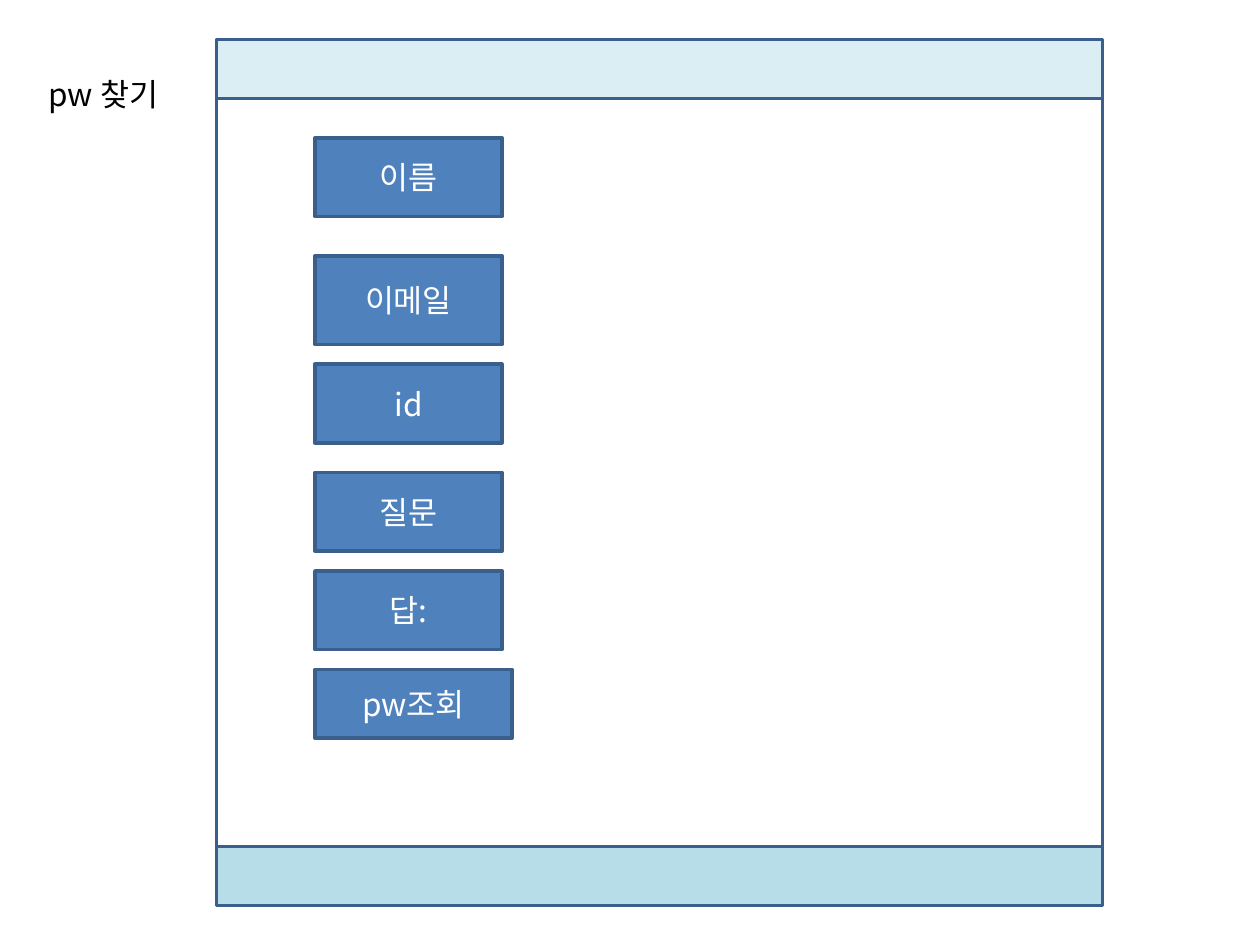
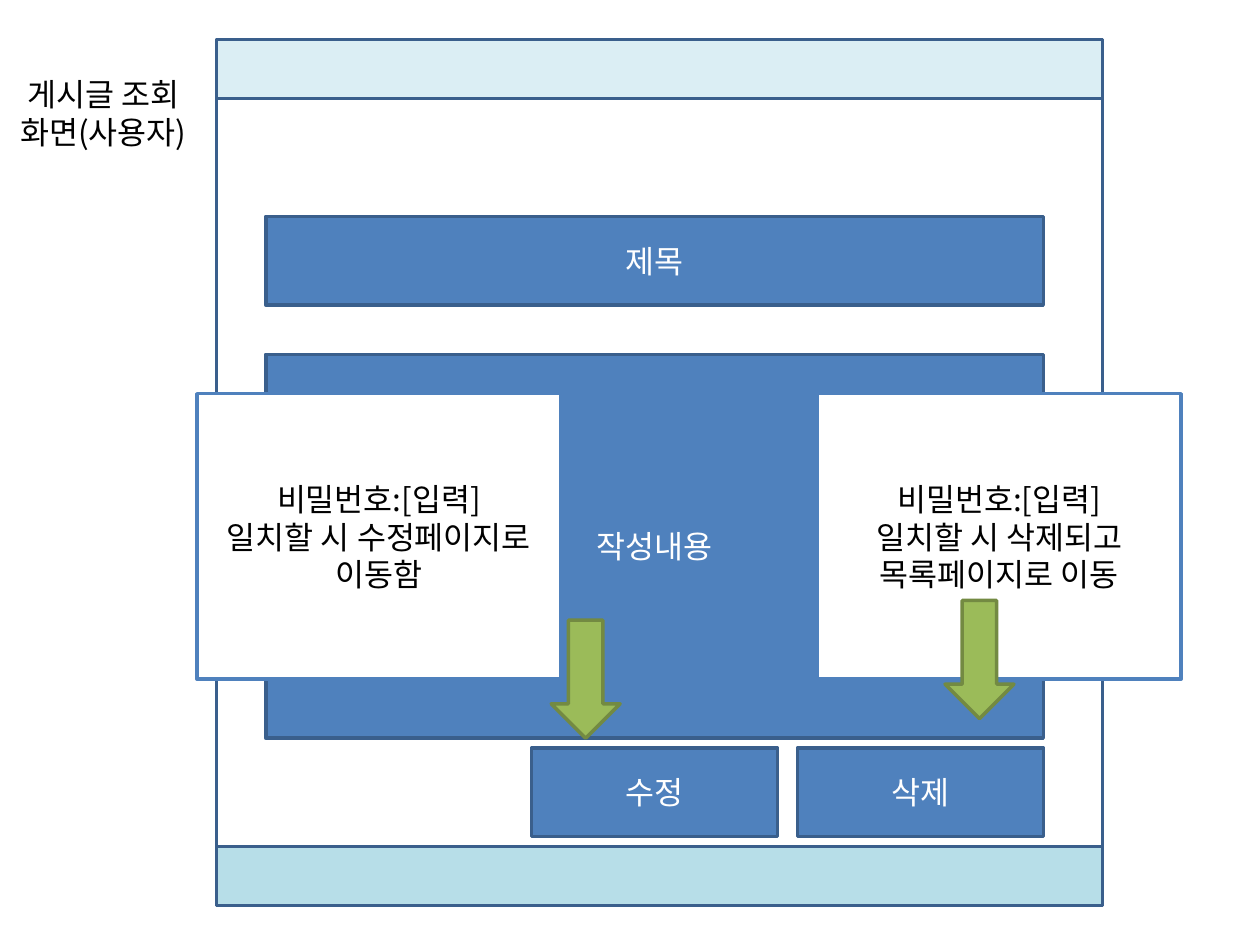
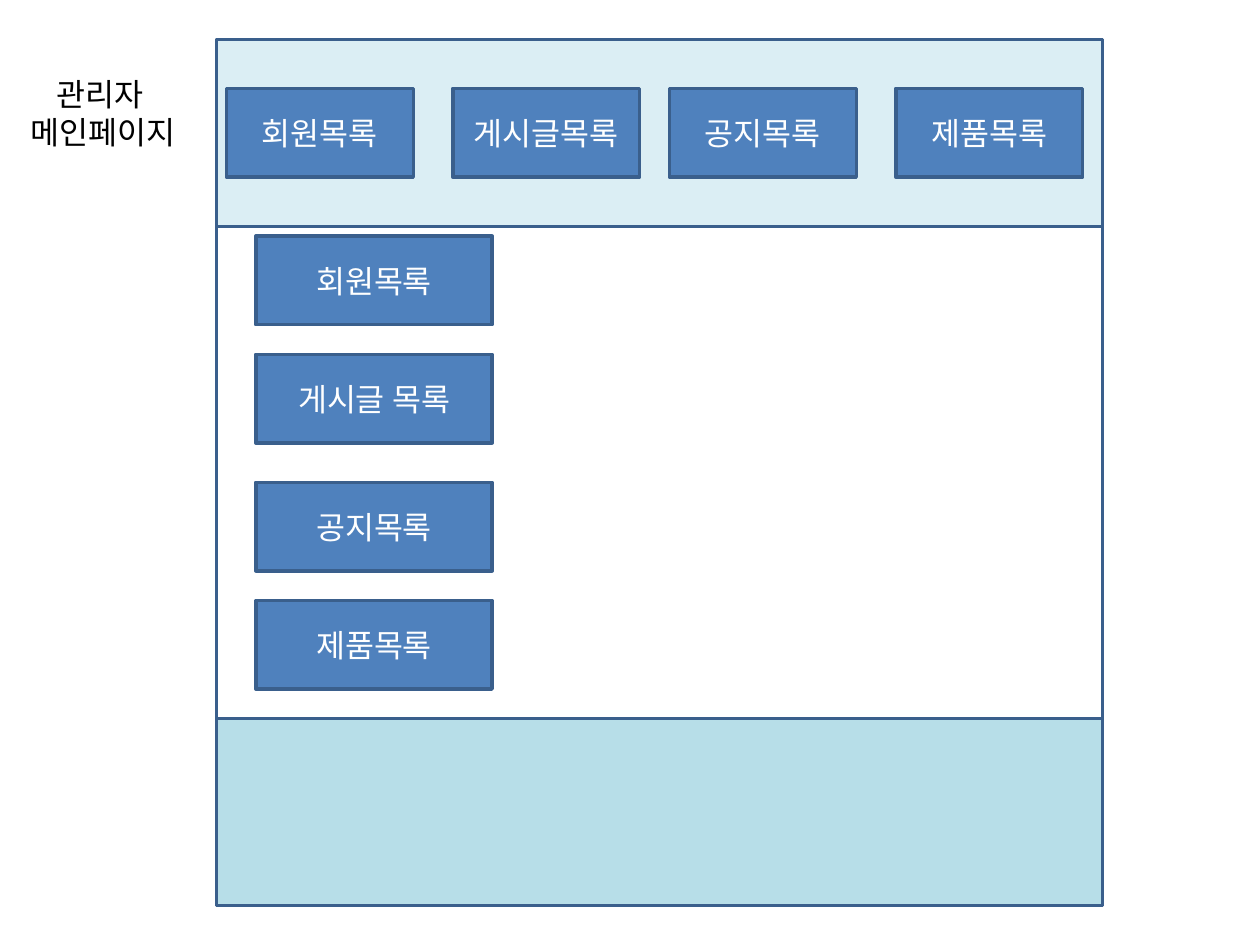
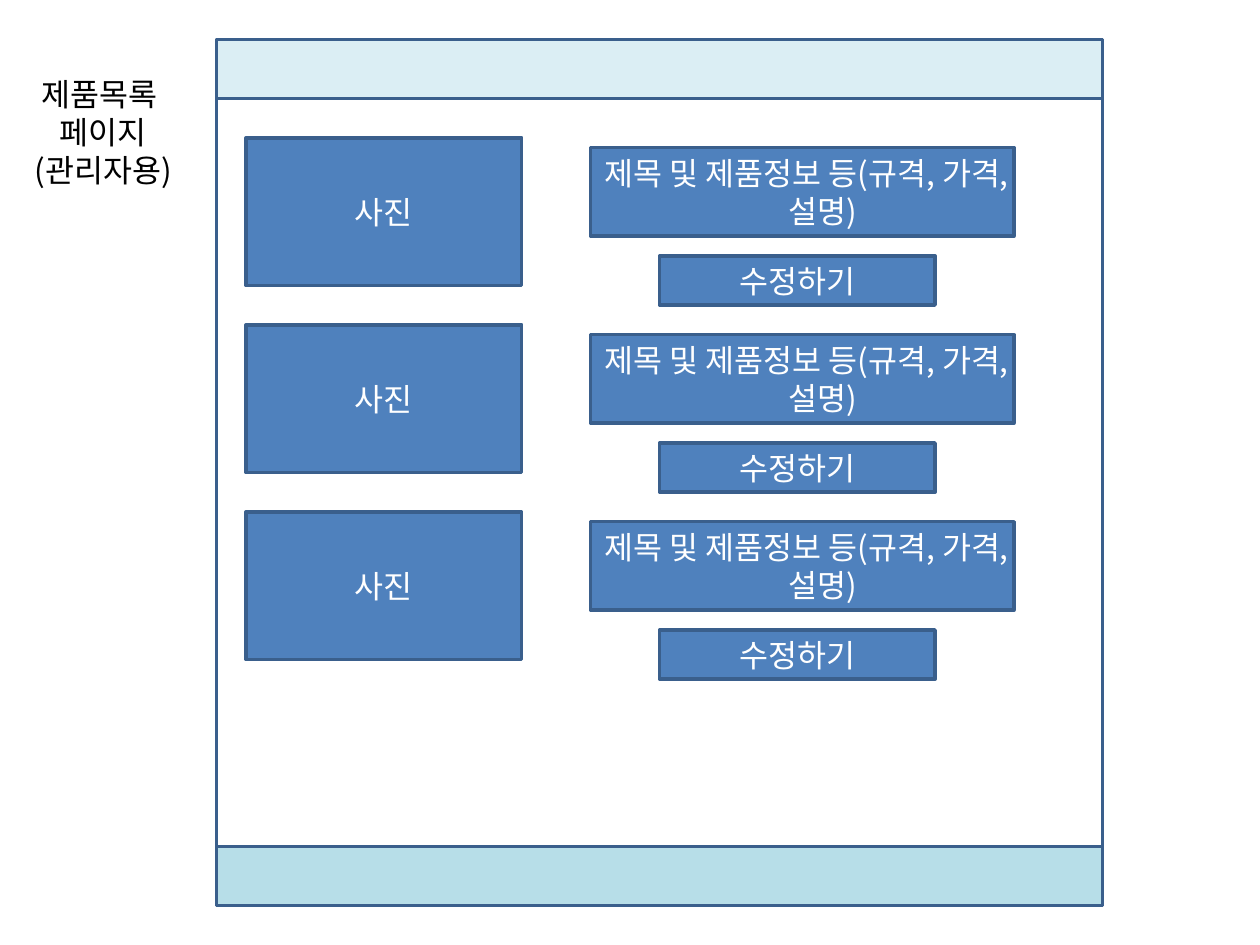
from dataclasses import dataclass

from pptx import Presentation, util as u
from pptx.dml.color import RGBColor
from pptx.enum import shapes, text
from pptx.oxml.ns import qn


@dataclass(frozen=True)
class Theme:
    font: str = "Noto Sans CJK KR"
    size: int = 18
    line: int = 2
    white: str = "FFFFFF"
    black: str = "000000"
    header: str = "DBEEF4"
    footer: str = "B7DEE8"
    blue: str = "4F81BD"
    edge: str = "3A5F8C"
    green: str = "9BBB59"
    green_edge: str = "738A42"


THEME = Theme()

# Grid: 128 columns by 96 rows of square cells
WIDTH, HEIGHT = u.Inches(10), u.Inches(7.5)
CELL = WIDTH // 128
HANGING = u.Inches(0.38)

# Window frame shared by all pages, in cells
FRAME_LEFT, FRAME_TOP, FRAME_WIDTH, FRAME_HEIGHT = 22, 4, 90, 88


def cells(*counts):
    return [u.Emu(round(count * CELL)) for count in counts]


# Text
def write(frame, lines, color, hanging=False):
    frame.word_wrap = True
    for index, line in enumerate(lines):
        para = frame.paragraphs[0] if index == 0 else frame.add_paragraph()
        para.alignment = text.PP_ALIGN.CENTER
        if hanging:
            properties = para._p.get_or_add_pPr()
            properties.set("marL", str(HANGING))
            properties.set("indent", str(-HANGING))
        span = para.add_run()
        span.text = line
        span.font.name = THEME.font
        span.font.size = u.Pt(THEME.size)
        span.font.color.rgb = RGBColor.from_string(color)
        east_asian = span.font._element.makeelement(qn("a:ea"), {"typeface": THEME.font})
        span.font._element.find(qn("a:latin")).addnext(east_asian)


# Elements
def add_box(page, area, fill, edge=THEME.edge, kind=shapes.MSO_SHAPE.RECTANGLE):
    box = page.shapes.add_shape(kind, *cells(*area))
    box.shadow.inherit = False
    box.fill.solid()
    box.fill.fore_color.rgb = RGBColor.from_string(fill)
    box.line.color.rgb = RGBColor.from_string(edge)
    box.line.width = u.Pt(THEME.line)
    return box


def add_field(page, label, area, hanging=False):
    box = add_box(page, area, THEME.blue)
    box.text_frame.vertical_anchor = text.MSO_ANCHOR.MIDDLE
    write(box.text_frame, [label], THEME.white, hanging)


def add_note(page, lines, left):
    box = add_box(page, (left, 40, 37, 29), THEME.white, THEME.blue)
    box.text_frame.vertical_anchor = text.MSO_ANCHOR.MIDDLE
    write(box.text_frame, lines, THEME.black)


def add_arrow(page, left, top):
    add_box(page, (left, top, 7, 12), THEME.green, THEME.green_edge,
            shapes.MSO_SHAPE.DOWN_ARROW)


def add_page(deck, title_lines, band=6):
    """Page with its side title and a window with header and footer bands."""
    page = deck.slides.add_slide(deck.slide_layouts[6])
    bottom_band = FRAME_TOP + FRAME_HEIGHT - band
    for top, height, fill in ((FRAME_TOP, FRAME_HEIGHT, THEME.white),
                              (FRAME_TOP, band, THEME.header),
                              (bottom_band, band, THEME.footer)):
        add_box(page, (FRAME_LEFT, top, FRAME_WIDTH, height), fill)
    title_height = 1.2 + 3.9 * len(title_lines)
    title = page.shapes.add_textbox(*cells(0, 7, 21, title_height))
    write(title.text_frame, title_lines, THEME.black)
    title.text_frame.auto_size = text.MSO_AUTO_SIZE.SHAPE_TO_FIT_TEXT
    return page


# Pages
def password_page(deck):
    page = add_page(deck, ["pw 찾기"])
    for label, top, width, height in (("이름", 14, 19, 8), ("이메일", 26, 19, 9),
                                      ("id", 37, 19, 8), ("질문", 48, 19, 8),
                                      ("답:", 58, 19, 8), ("pw조회", 68, 20, 7)):
        add_field(page, label, (32, top, width, height))


def post_page(deck):
    page = add_page(deck, ["게시글 조회", "화면(사용자)"])
    for label, area in (("작성내용", (27, 36, 79, 39)), ("제목", (27, 22, 79, 9)),
                        ("수정", (54, 76, 25, 9)), ("삭제", (81, 76, 25, 9))):
        add_field(page, label, area, hanging=True)
    prompt = "비밀번호:[입력]"
    add_note(page, [prompt, "일치할 시 삭제되고", "목록페이지로 이동"], 83)
    add_arrow(page, 96, 61)
    add_note(page, [prompt, "일치할 시 수정페이지로", "이동함"], 20)
    add_arrow(page, 56, 63)


def admin_page(deck):
    page = add_page(deck, ["관리자 ", "메인페이지"], band=19)
    for label, left in (("회원목록", 23), ("게시글목록", 46),
                        ("공지목록", 68), ("제품목록", 91)):
        add_field(page, label, (left, 9, 19, 9), hanging=True)
    for label, top in (("회원목록", 24), ("게시글 목록", 36),
                       ("공지목록", 49), ("제품목록", 61)):
        add_field(page, label, (26, top, 24, 9))


def product_page(deck):
    page = add_page(deck, ["제품목록 ", "페이지", "(관리자용)"])
    for row in range(3):
        top = 14 + 19 * row
        for label, area in (
                ("사진", (25, top, 28, 15)),
                ("제목 및 제품정보 등(규격, 가격,설명) ", (60, top + 1, 43, 9)),
                ("수정하기", (67, top + 12, 28, 5))):
            add_field(page, label, area, hanging=True)


def main():
    deck = Presentation()
    deck.slide_width, deck.slide_height = WIDTH, HEIGHT
    for build in (password_page, post_page, admin_page, product_page):
        build(deck)
    deck.save("out.pptx")


if __name__ == "__main__":
    main()
